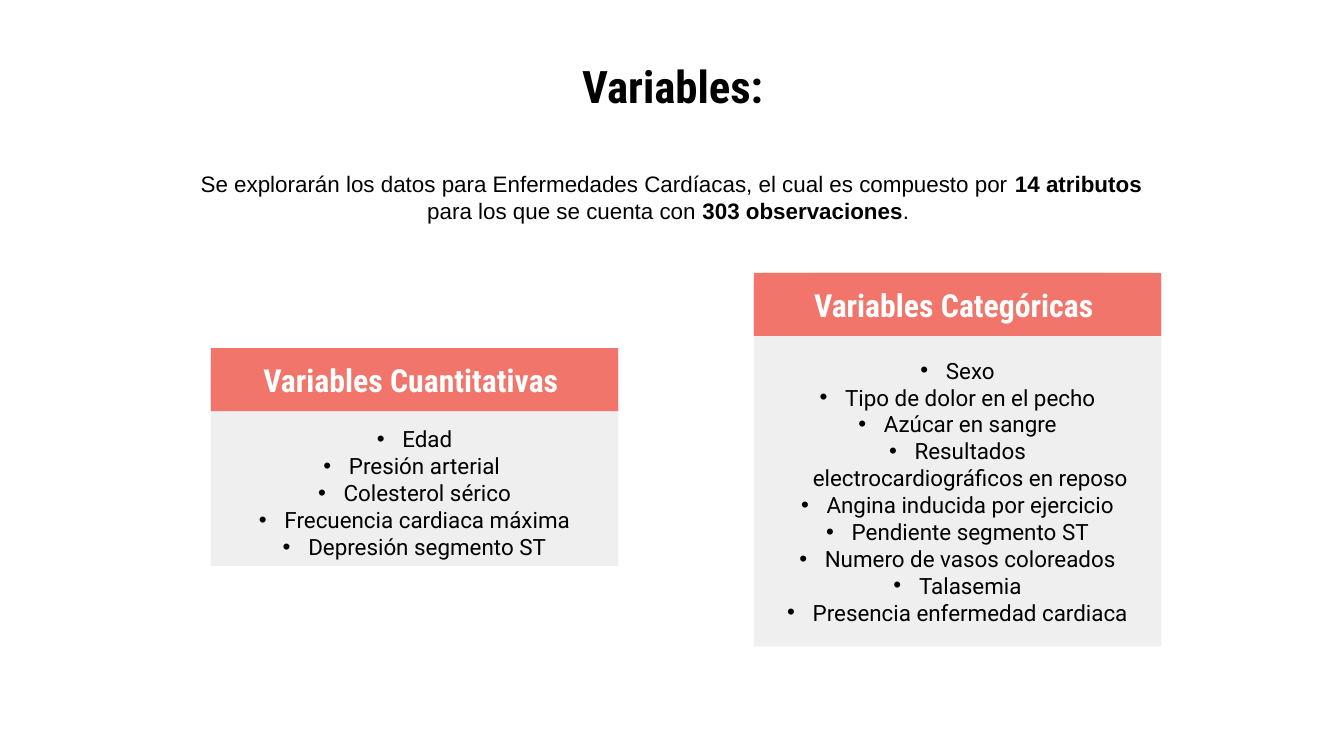
from lxml.etree import SubElement
from pptx import Presentation
from pptx.dml.color import RGBColor
from pptx.enum.shapes import MSO_SHAPE as Shape
from pptx.enum.text import MSO_ANCHOR as Anchor, MSO_AUTO_SIZE as AutoSize, PP_ALIGN as Align
from pptx.oxml.ns import qn
from pptx.util import Inches, Pt

BLACK = RGBColor(0x00, 0x00, 0x00)
WHITE = RGBColor(0xFF, 0xFF, 0xFF)
CORAL = RGBColor(0xF1, 0x75, 0x6B)
LIGHT_GRAY = RGBColor(0xEF, 0xEF, 0xEF)

CARD_WIDTH = 3.03
HEADER_HEIGHT = 0.47
LIST_INSET = 0.14
BULLET_INDENT = 0.19


class SlideBuilder:
    heading_font = "Roboto Condensed"
    list_font = "Roboto"
    intro_font = "Arial"

    def __init__(self, slide):
        self.slide = slide

    def place(self, shape, left, top, width, height):
        shape.left, shape.top = Inches(left), Inches(top)
        shape.width, shape.height = Inches(width), Inches(height)

    def format_text(self, shape, font, size, color, bold=False, anchor=Anchor.MIDDLE):
        frame = shape.text_frame
        frame.word_wrap = True
        frame.auto_size = AutoSize.NONE
        frame.vertical_anchor = anchor
        frame.margin_left = frame.margin_right = Inches(0.1)
        frame.margin_top = frame.margin_bottom = Inches(0.1)
        for paragraph in frame.paragraphs:
            paragraph.alignment = Align.CENTER
            paragraph.space_before = Pt(0)
            for run in paragraph.runs:
                run.font.name = font
                run.font.size = Pt(size)
                run.font.bold = bold
                run.font.color.rgb = color

    def title(self, text, *box):
        heading = self.slide.shapes.title
        self.place(heading, *box)
        heading.text_frame.text = text
        self.format_text(heading, self.heading_font, 24, BLACK, True, Anchor.TOP)

    def intro(self, parts, *box):
        intro = self.slide.shapes.add_textbox(*map(Inches, box))
        paragraph = intro.text_frame.paragraphs[0]
        for text, _ in parts:
            paragraph.add_run().text = text
        self.format_text(intro, self.intro_font, 12, BLACK)
        for run, (_, bold) in zip(paragraph.runs, parts):
            run.font.bold = bold

    def panel(self, kind, color, *box):
        panel = self.slide.shapes.add_shape(kind, *map(Inches, box))
        panel.shadow.inherit = False
        panel.fill.solid()
        panel.fill.fore_color.rgb = color
        panel.line.fill.background()
        return panel

    def bullets(self, placeholder_index, items, *box):
        listing = self.slide.placeholders[placeholder_index]
        self.place(listing, *box)
        listing.text_frame.text = "\n".join(items)
        self.format_text(listing, self.list_font, 12, BLACK)
        for paragraph in listing.text_frame.paragraphs:
            properties = paragraph._p.get_or_add_pPr()
            properties.set("marL", str(Inches(BULLET_INDENT)))
            properties.set("indent", str(-Inches(BULLET_INDENT)))
            SubElement(properties, qn("a:buChar")).set("char", "•")
        self.slide.shapes._spTree.append(listing._element)

    def card(self, placeholder_index, heading, items, left, top, height, list_top):
        for color, panel_height in ((LIGHT_GRAY, height), (CORAL, 0.46)):
            rounded = self.panel(Shape.ROUND_2_SAME_RECTANGLE, color,
                                 left, top, CARD_WIDTH, panel_height)
            rounded.adjustments[0] = 0.17
        header = self.panel(Shape.RECTANGLE, CORAL, left, top, CARD_WIDTH, HEADER_HEIGHT)
        header.text_frame.text = heading
        self.format_text(header, self.heading_font, 17, WHITE, True)
        self.bullets(placeholder_index, items, left + LIST_INSET, list_top,
                     CARD_WIDTH - 2 * LIST_INSET, top + height - list_top)


def main():
    presentation = Presentation()
    presentation.slide_width = Inches(10)
    presentation.slide_height = Inches(10 * 9 / 16)
    two_content = presentation.slide_layouts[3]
    builder = SlideBuilder(presentation.slides.add_slide(two_content))

    builder.title("Variables:", 0.2, 0.34, 9.61, 0.63)
    builder.intro([
        ("Se explorarán los datos para Enfermedades Cardíacas, el cual es compuesto por ", False),
        ("14 atributos ", True),
        ("para los que se cuenta con ", False),
        ("303 observaciones", True),
        (". ", False),
    ], 1.36, 1.03, 7.27, 0.87)
    builder.card(2, "Variables Categóricas ", [
        "Sexo",
        "Tipo de dolor en el pecho",
        "Azúcar en sangre",
        "Resultados electrocardiográficos en reposo",
        "Angina inducida por ejercicio",
        "Pendiente segmento ST",
        "Numero de vasos coloreados",
        "Talasemia",
        "Presencia enfermedad cardiaca",
    ], left=5.61, top=2.03, height=2.78, list_top=2.5)
    builder.card(1, "Variables Cuantitativas ", [
        "Edad",
        "Presión arterial ",
        "Colesterol sérico",
        "Frecuencia cardiaca máxima",
        "Depresión segmento ST",
    ], left=1.57, top=2.59, height=1.62, list_top=3.12)

    presentation.save("out.pptx")


if __name__ == "__main__":
    main()
